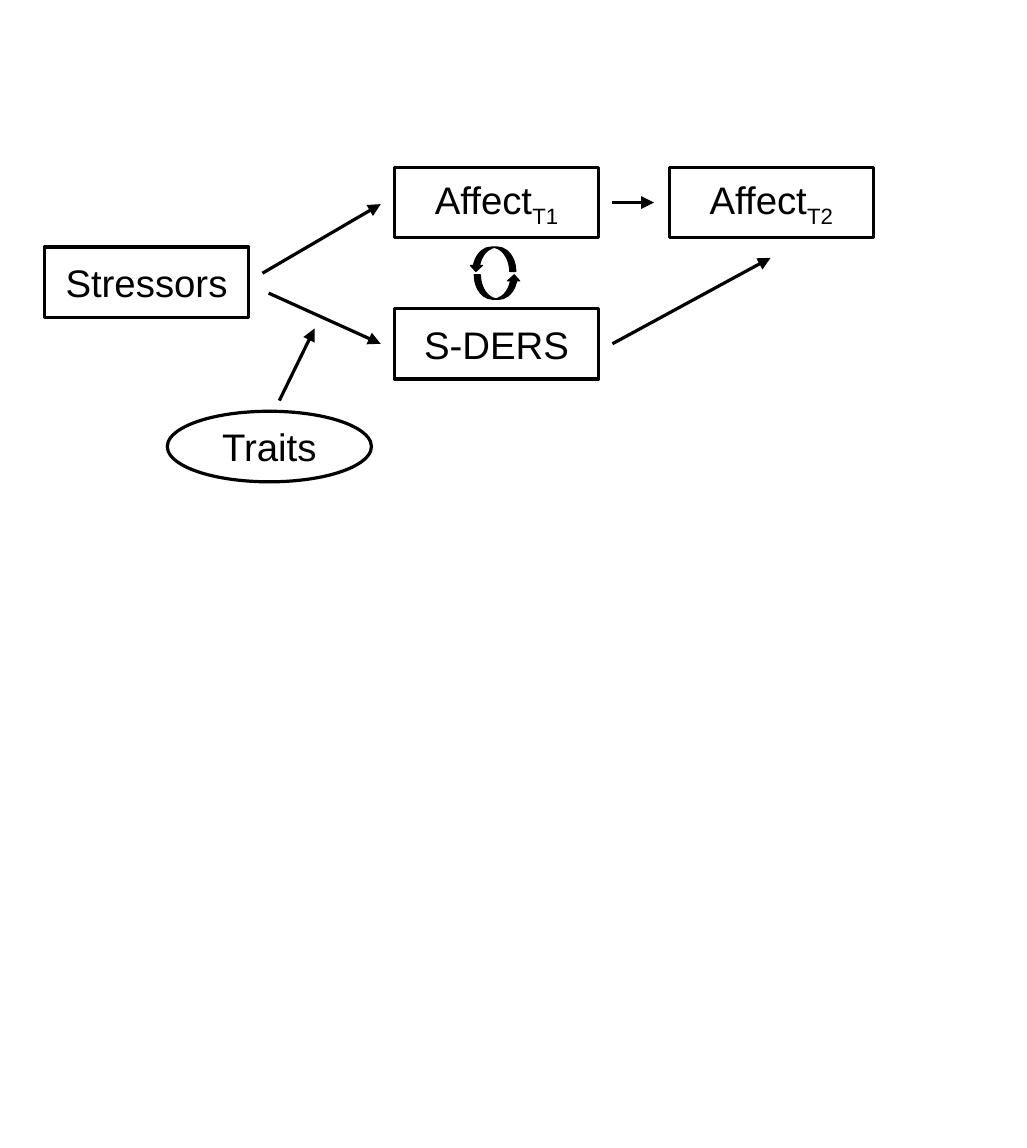
from typing import NamedTuple

from lxml import etree
from pptx import Presentation
from pptx.dml.color import RGBColor
from pptx.enum.shapes import MSO_CONNECTOR, MSO_SHAPE
from pptx.enum.text import MSO_ANCHOR, PP_ALIGN
from pptx.oxml.ns import qn
from pptx.util import Inches, Pt

RECTANGLE = MSO_SHAPE.RECTANGLE
OVAL = MSO_SHAPE.OVAL
CURVED_ARROW = MSO_SHAPE.CURVED_RIGHT_ARROW
STRAIGHT = MSO_CONNECTOR.STRAIGHT
MIDDLE = MSO_ANCHOR.MIDDLE
CENTER = PP_ALIGN.CENTER

COLORS = {"ink": "000000", "paper": "FFFFFF"}
FONT = "Arial"
FONT_SIZE = 18
LINE_WIDTH = 1.5
LOOP_LINE_WIDTH = 0.5
NODE_WIDTH, NODE_HEIGHT = 1.33, 0.46
LOOP_WIDTH, LOOP_HEIGHT = 0.16, 0.3


class Node(NamedTuple):
    left: float
    top: float
    label: str
    subscript: str = ""
    outline: MSO_SHAPE = RECTANGLE


class Path(NamedTuple):
    start: tuple[float, float]
    end: tuple[float, float]


class LoopArrow(NamedTuple):
    left: float
    top: float
    rotation: int


NODES = [
    Node(0.29, 1.61, "Stressors"),
    Node(2.57, 1.09, "Affect", "T1"),
    Node(2.57, 2.01, "S-DERS"),
    Node(4.36, 1.09, "Affect", "T2"),
    Node(1.09, 2.68, "Traits", outline=OVAL),
]
PATHS = [
    Path((1.71, 1.78), (2.48, 1.33)),  # Stressors to Affect T1
    Path((1.75, 1.91), (2.48, 2.24)),  # Stressors to S-DERS
    Path((3.99, 2.24), (5.02, 1.68)),  # S-DERS to Affect T2
    Path((3.99, 1.32), (4.26, 1.32)),  # Affect T1 to Affect T2
    Path((1.82, 2.61), (2.05, 2.14)),  # Traits moderating the S-DERS path
]
LOOP = [LoopArrow(3.13, 1.54, 90), LoopArrow(3.16, 1.72, 270)]


def color(name: str) -> RGBColor:
    return RGBColor.from_string(COLORS[name])


def add_outlined(slide, outline: MSO_SHAPE, box: tuple[float, ...],
                 fill: str, line_width: float):
    """Add a preset shape with a solid fill, an ink outline and no shadow."""
    shape = slide.shapes.add_shape(outline, *(Inches(length) for length in box))
    shape.shadow.inherit = False
    shape.fill.solid()
    shape.fill.fore_color.rgb = color(fill)
    shape.line.color.rgb = color("ink")
    shape.line.width = Pt(line_width)
    return shape


def add_run(paragraph, text: str, subscript: bool = False) -> None:
    run = paragraph.add_run()
    run.text = text
    run.font.name = FONT
    run.font.size = Pt(FONT_SIZE)
    run.font.color.rgb = color("ink")
    if subscript:
        run._r.get_or_add_rPr().set("baseline", "-25000")


def add_node(slide, node: Node) -> None:
    box = (node.left, node.top, NODE_WIDTH, NODE_HEIGHT)
    shape = add_outlined(slide, node.outline, box, "paper", LINE_WIDTH)
    frame = shape.text_frame
    frame.vertical_anchor = MIDDLE
    paragraph = frame.paragraphs[0]
    paragraph.alignment = CENTER
    add_run(paragraph, node.label)
    if node.subscript:
        add_run(paragraph, node.subscript, subscript=True)


def add_path(slide, path: Path) -> None:
    ends = (Inches(length) for length in path.start + path.end)
    connector = slide.shapes.add_connector(STRAIGHT, *ends)
    connector.line.color.rgb = color("ink")
    connector.line.width = Pt(LINE_WIDTH)
    etree.SubElement(connector.line._get_or_add_ln(), qn("a:tailEnd"), type="triangle")
    etree.SubElement(connector._element.spPr, qn("a:effectLst"))


def add_loop_arrow(slide, arrow: LoopArrow) -> None:
    box = (arrow.left, arrow.top, LOOP_WIDTH, LOOP_HEIGHT)
    shape = add_outlined(slide, CURVED_ARROW, box, "ink", LOOP_LINE_WIDTH)
    shape.rotation = arrow.rotation


def main() -> None:
    presentation = Presentation()
    presentation.slide_width = Inches(6.69)
    presentation.slide_height = Inches(7.48)
    slide = presentation.slides.add_slide(presentation.slide_layouts[6])
    for node in NODES:
        add_node(slide, node)
    for path in PATHS:
        add_path(slide, path)
    for arrow in LOOP:
        add_loop_arrow(slide, arrow)
    presentation.save("out.pptx")


if __name__ == "__main__":
    main()
